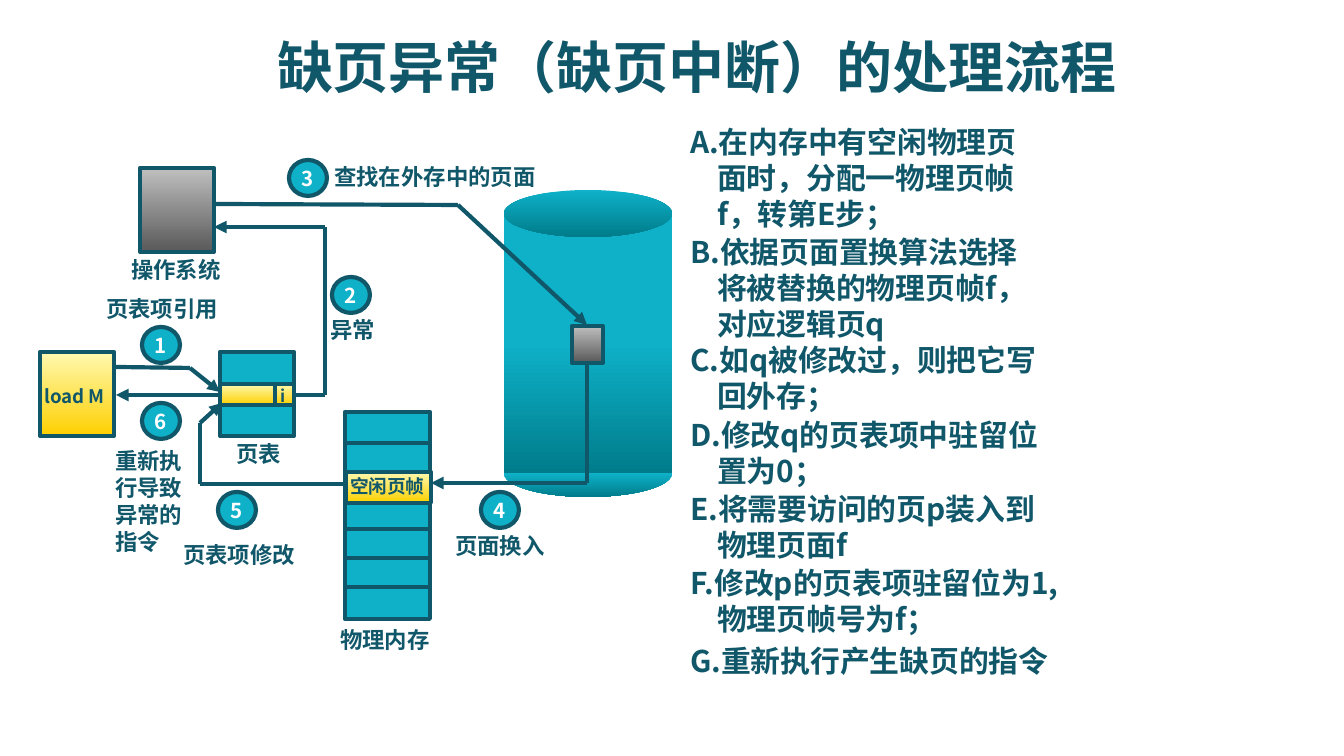
"""Build the slide on how a page fault is handled."""
import pptx
import pptx.util
import pptx.dml.color
import pptx.enum.shapes
import pptx.enum.text
import pptx.oxml.ns
from lxml import etree

PIXEL = 914400 / 134.4
FONT = "Noto Sans CJK SC"
DARK, TEAL, DEEP_TEAL, WHITE = "11576A", "0EB1C8", "007C8B", "FFFFFF"
YELLOW = ("FFF9B1", "FDD000")
GRAY = ("BFBFBF", "595959")
SHAPES = pptx.enum.shapes.MSO_SHAPE
ALIGN = pptx.enum.text.PP_ALIGN


def px(*lengths):
    return [pptx.util.Emu(round(length * PIXEL)) for length in lengths]


def color(value):
    return pptx.dml.color.RGBColor.from_string(value)


def add_xml(parent, tag, **attributes):
    return etree.SubElement(parent, pptx.oxml.ns.qn(tag), **attributes)


def write(frame, text, size=12, ink=DARK, align=None, spacing=None):
    para = frame.paragraphs[0]
    para.alignment = align
    para.line_spacing = spacing
    span = para.add_run()
    span.text = text
    span.font.size = pptx.util.Pt(size)
    span.font.bold = True
    span.font.color.rgb = color(ink)
    span.font.name = FONT
    add_xml(span.font._element, "a:ea", typeface=FONT)
    return para


def add_text(page, text, left, top, width, height, **style):
    box = page.shapes.add_textbox(*px(left, top, width, height))
    box.text_frame.word_wrap = True
    box.text_frame.auto_size = pptx.enum.text.MSO_AUTO_SIZE.SHAPE_TO_FIT_TEXT
    return write(box.text_frame, text, **style)


def add_step(page, text, top, width, height, numbered=False):
    para = add_text(page, text, 677, top, width, height, size=16)
    properties = para._p.get_or_add_pPr()
    indent = pptx.util.Inches(0.2)
    properties.set("marL", str(indent))
    properties.set("indent", str(-indent))
    if numbered:
        add_xml(properties, "a:buAutoNum", type="alphaUcPeriod")


def add_block(page, left, top, width, height, fill, kind=SHAPES.RECTANGLE,
              outlined=True, start=0):
    block = page.shapes.add_shape(kind, *px(left, top, width, height))
    block.shadow.inherit = False
    if isinstance(fill, str):
        block.fill.solid()
        block.fill.fore_color.rgb = color(fill)
    else:
        block.fill.gradient()
        block.fill.gradient_angle = 270
        for stop, value, position in zip(block.fill.gradient_stops, fill, (start, 1)):
            stop.color.rgb = color(value)
            stop.position = position
    if outlined:
        block.line.color.rgb = color(DARK)
        block.line.width = pptx.util.Pt(2.25)
    else:
        block.line.fill.background()
    return block


def add_badge(page, number, left, top):
    badge = add_block(page, left, top, 38, 36, TEAL, kind=SHAPES.OVAL)
    frame = badge.text_frame
    frame.word_wrap = False
    frame.vertical_anchor = pptx.enum.text.MSO_ANCHOR.MIDDLE
    write(frame, str(number), size=11, ink=WHITE, align=ALIGN.CENTER)


def add_route(page, *points, arrow=True):
    for start, end in zip(points, points[1:]):
        line = page.shapes.add_connector(
            pptx.enum.shapes.MSO_CONNECTOR.STRAIGHT, *px(*start, *end))
        line.line.color.rgb = color(DARK)
        line.line.width = pptx.util.Pt(2.25)
        if arrow and end == points[-1]:
            add_xml(line.line._get_or_add_ln(), "a:tailEnd", type="triangle")
        add_xml(line._element.spPr, "a:effectLst")


def add_disk(page):
    for kind, top, height, start in ((SHAPES.OVAL, 450, 47, 0.5),
                                     (SHAPES.RECTANGLE, 215, 258, 0.5),
                                     (SHAPES.OVAL, 190, 47, 0)):
        add_block(page, 504, top, 168, height, (TEAL, DEEP_TEAL), kind=kind,
                  outlined=False, start=start)
    add_route(page, (215, 204), (458, 205), (587, 325))
    add_block(page, 572, 326, 31, 37, GRAY)


def add_page_table(page):
    add_route(page, (115, 367), (190, 368), (220, 392))
    add_route(page, (220, 395), (116, 395))
    add_block(page, 220, 352, 74, 84, TEAL)
    add_block(page, 220, 384, 74, 21, YELLOW)
    add_route(page, (275, 384), (275, 405), arrow=False)
    add_text(page, "i", 267, 379, 31, 34, size=9)


def add_memory(page):
    add_block(page, 345, 412, 85, 207, TEAL)
    add_block(page, 346, 472, 85, 31, YELLOW)
    for top in (443, 529, 558, 587):
        add_route(page, (346, top), (431, top), arrow=False)
    add_text(page, "空闲页帧", 337, 468, 116, 36, size=10)


def main():
    deck = pptx.Presentation()
    deck.slide_width, deck.slide_height = px(1344, 756)
    page = deck.slides.add_slide(deck.slide_layouts[6])

    add_disk(page)
    add_text(page, "缺页异常（缺页中断）的处理流程", 251, 31, 892, 78,
             size=30, align=ALIGN.CENTER, spacing=0.95)
    add_step(page, "在内存中有空闲物理页面时，分配一物理页帧f，转第E步；",
             117, 376, 122, numbered=True)
    for text, top, width, height in (
            ("B.依据页面置换算法选择将被替换的物理页帧f，对应逻辑页q", 227, 376, 122),
            ("C.如q被修改过，则把它写回外存；", 335, 387, 86),
            ("D.修改q的页表项中驻留位置为0；", 410, 396, 86),
            ("E.将需要访问的页p装入到物理页面f", 484, 387, 86),
            ("F.修改p的页表项驻留位为1,物理页帧号为f；", 558, 407, 86),
            ("G.重新执行产生缺页的指令", 636, 407, 50)):
        add_step(page, text, top, width, height)

    add_block(page, 140, 168, 74, 84, GRAY)
    add_block(page, 40, 352, 74, 84, YELLOW)
    add_text(page, "load M", 31, 378, 94, 36, size=10)
    add_page_table(page)
    add_memory(page)
    add_route(page, (294, 395), (325, 395), (325, 227), (214, 227))
    add_route(page, (345, 484), (200, 484), (200, 423), (222, 403))
    add_route(page, (587, 363), (587, 483), (431, 483))

    for number, left, top in ((1, 142, 327), (2, 332, 277), (3, 289, 160),
                              (4, 481, 492), (5, 218, 492), (6, 142, 403)):
        add_badge(page, number, left, top)
    for text, left, top, width, height in (
            ("操作系统", 118, 250, 137, 40),
            ("页表项引用", 93, 289, 148, 40),
            ("异常", 317, 310, 81, 40),
            ("查找在外存中的页面", 321, 157, 251, 40),
            ("页面换入", 442, 526, 163, 40),
            ("页表项修改", 170, 535, 161, 40),
            ("重新执行导致异常的指令", 102, 441, 106, 122),
            ("页表", 223, 434, 161, 40),
            ("物理内存", 327, 620, 137, 40)):
        add_text(page, text, left, top, width, height)
    deck.save("out.pptx")


main()
